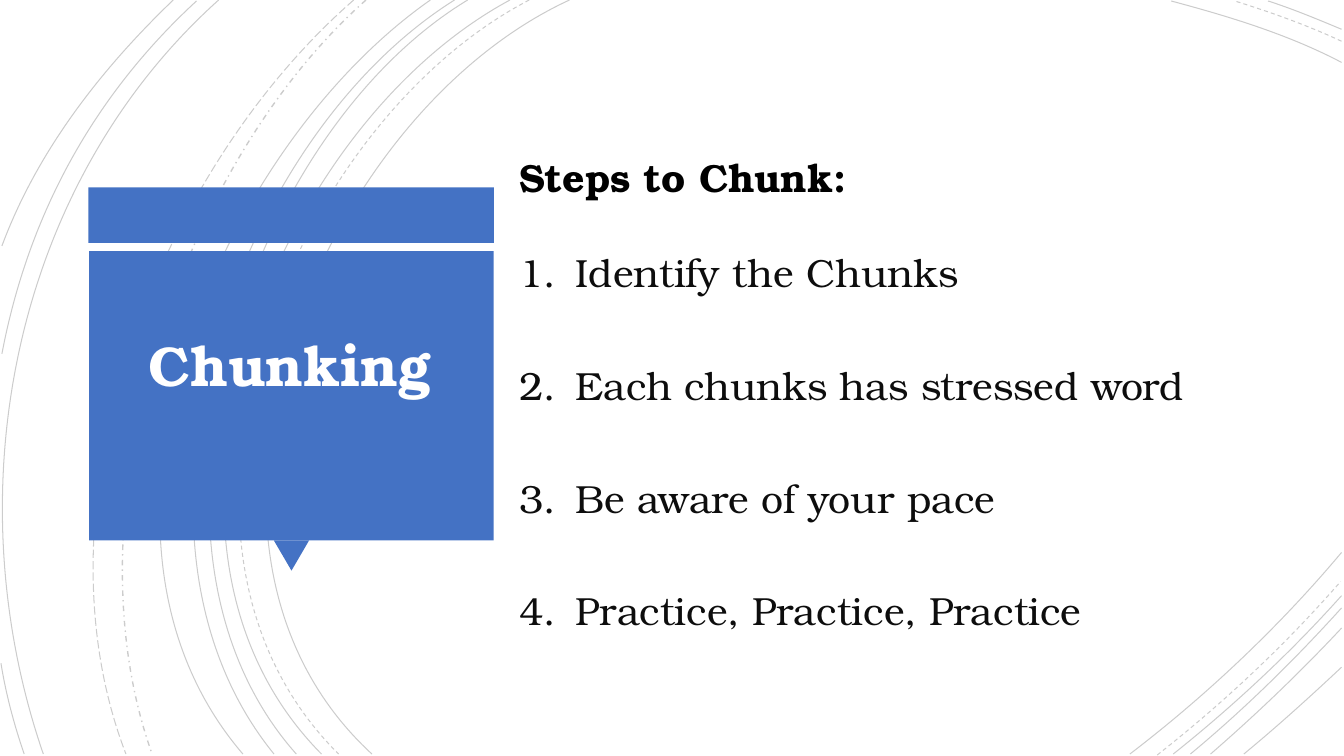
from lxml.etree import SubElement
from pptx import Presentation
from pptx.dml.color import RGBColor
from pptx.enum.dml import MSO_LINE as Dash
from pptx.enum.shapes import MSO_SHAPE as Preset
from pptx.enum.text import MSO_ANCHOR as Anchor, PP_ALIGN as Align
from pptx.oxml.ns import qn
from pptx.util import Pt

# Content
TITLE = "Chunking"
HEADING = "Steps to Chunk:"
STEPS = [
    "Identify the Chunks",
    "Each chunks has stressed word",
    "Be aware of your pace",
    "Practice, Practice, Practice",
]

THEME = {
    "font": "TeX Gyre Bonum",
    "accent": RGBColor(0x44, 0x72, 0xC4),
    "title": RGBColor(0xFF, 0xFF, 0xFF),
    "heading": RGBColor(0, 0, 0),
    "step": RGBColor(0x0D, 0x0D, 0x0D),
    "arc": RGBColor(0, 0, 0),
    "arc_alpha": 20,
    "title_size": 40,
    "body_size": 28,
    "line_spacing": 0.9,
}

# Background arcs: start, two control points, end (points), by line style
ARCS = {
    (Dash.SOLID, 0.75): [
        # left sweep
        [(406.8, 0), (226.8, 82.8), (103, 388.8), (265.7, 538.6)],
        [(364.3, 0), (194.4, 91.4), (79.2, 386.6), (229.7, 538.6)],
        [(334.1, 0), (175.7, 95.8), (79.2, 389.5), (211.7, 538.6)],
        [(324.7, 0), (166.3, 99.4), (69.8, 383.8), (195.8, 538.6)],
        [(307.4, 0), (156.2, 105.8), (38.2, 380.9), (173.5, 538.6)],
        [(156.2, 0), (7.9, 133.2), (-33.1, 352.8), (31, 538.6)],
        [(140.4, 0.7), (66.2, 69.1), (20.2, 154.1), (1.4, 252.7)],
        [(0.7, 473.8), (4.3, 496.1), (10.1, 517.7), (17.3, 538.6)],
        [(123.8, 0), (72, 49.7), (26.6, 108), (1.4, 175.7)],
        # top right corner
        [(958.3, 44.6), (920.2, 24.5), (877, 11.5), (836.6, 0.7)],
        [(958.3, 20.9), (941, 13.7), (923.8, 6.5), (905.8, 0.7)],
        # bottom right corner
        [(807.1, 538.6), (861.8, 496.8), (913.7, 447.8), (958.3, 394.6)],
        [(838.1, 538.6), (880.6, 504.7), (921.6, 466.6), (958.3, 425.5)],
        [(850.3, 538.6), (888.5, 506.9), (924.5, 471.6), (958.3, 434.2)],
        [(864.7, 538.6), (897.1, 510.5), (928.8, 480.2), (958.3, 448.6)],
        [(888.5, 538.6), (912.2, 519.1), (935.3, 498.2), (958.3, 476.6)],
    ],
    (Dash.DASH, 0.75): [
        [(378, 0), (205.2, 90), (88.6, 386.6), (241.9, 538.6)],
        [(958.3, 29.5), (933.8, 18), (907.2, 8.6), (882, 0.7)],
        [(826.6, 539.3), (873.4, 502.6), (918, 460.8), (957.6, 415.4)],
    ],
    (Dash.DASH_DOT, 1): [
        [(261.4, 0), (126.7, 119.5), (46.8, 366.5), (108.7, 538.6)],
    ],
    (Dash.LONG_DASH, 0.75): [
        [(252.7, 0), (113, 121.7), (20.9, 359.3), (90, 538.6)],
    ],
}

# Title panel: preset, box (points), rotation
PANEL = [
    (Preset.RECTANGLE, (63.2, 133.9, 289.6, 39.6), 0),
    (Preset.ISOSCELES_TRIANGLE, (195.6, 386, 25.2, 21.6), 180),
    (Preset.RECTANGLE, (63.6, 179.5, 289, 206.6), 0),
]
TITLE_BOX = (71.3, 232.8, 271.4, 60)
STEPS_BOX = (370.8, 113, 580, 370)
STEP_INDENT = 40.3
FIRST_GAP, STEP_GAP = 38, 50.3

prs = Presentation()
prs.slide_width, prs.slide_height = Pt(960), Pt(540)
slide = prs.slides.add_slide(prs.slide_layouts[6])
shapes = slide.shapes


def draw_arc(arc, dash, width):
    start, *rest = [(Pt(x), Pt(y)) for x, y in arc]
    builder = shapes.build_freeform(*start)
    builder.add_line_segments(rest, close=False)
    curve = builder.convert_to_shape()
    # Turn the three straight segments into one Bezier curve
    outline = curve._element.find(".//" + qn("a:path"))
    segments = outline.findall(qn("a:lnTo"))
    bend = SubElement(outline, qn("a:cubicBezTo"))
    for segment in segments:
        bend.append(segment[0])
        outline.remove(segment)
    curve.shadow.inherit = False
    curve.fill.background()
    curve.line.color.rgb = THEME["arc"]
    curve.line.width = Pt(width)
    curve.line.dash_style = dash
    color = curve.line._ln.find(".//" + qn("a:srgbClr"))
    SubElement(color, qn("a:alpha"), val=str(THEME["arc_alpha"] * 1000))


def add_frame(box, anchor):
    frame = shapes.add_textbox(*map(Pt, box)).text_frame
    frame.word_wrap = True
    frame.vertical_anchor = anchor
    frame.margin_left = frame.margin_right = 0
    frame.margin_top = frame.margin_bottom = 0
    return frame


def write(paragraph, text, role, size, bold):
    paragraph.text = text
    paragraph.line_spacing = THEME["line_spacing"]
    font = paragraph.runs[0].font
    font.name, font.size, font.bold = THEME["font"], Pt(size), bold
    font.color.rgb = THEME[role]


# Background arcs
for (dash, width), arcs in ARCS.items():
    for arc in arcs:
        draw_arc(arc, dash, width)

# Title panel
for preset, box, rotation in PANEL:
    part = shapes.add_shape(preset, *map(Pt, box))
    part.shadow.inherit = False
    part.rotation = rotation
    part.fill.solid()
    part.fill.fore_color.rgb = THEME["accent"]
    part.line.fill.background()

title = add_frame(TITLE_BOX, Anchor.MIDDLE).paragraphs[0]
write(title, TITLE, "title", THEME["title_size"], True)
title.alignment = Align.CENTER

# Heading and numbered steps
body = add_frame(STEPS_BOX, Anchor.TOP)
write(body.paragraphs[0], HEADING, "heading", THEME["body_size"], True)
for index, text in enumerate(STEPS):
    step = body.add_paragraph()
    write(step, text, "step", THEME["body_size"], False)
    step.space_before = Pt(STEP_GAP if index else FIRST_GAP)
    props = step._p.get_or_add_pPr()
    props.set("marL", str(Pt(STEP_INDENT)))
    props.set("indent", str(-Pt(STEP_INDENT)))
    SubElement(props, qn("a:buFont"), typeface="+mj-lt")
    SubElement(props, qn("a:buAutoNum"), type="arabicPeriod")

prs.save("out.pptx")
